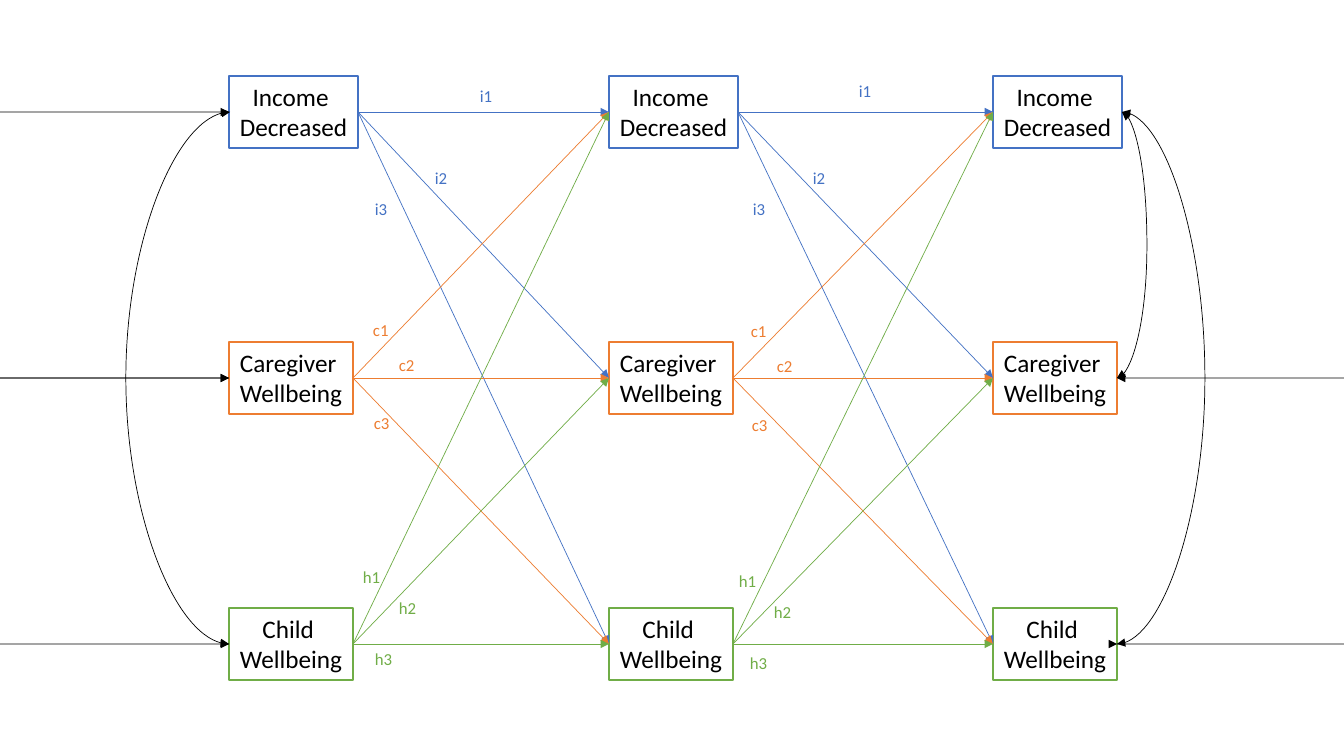
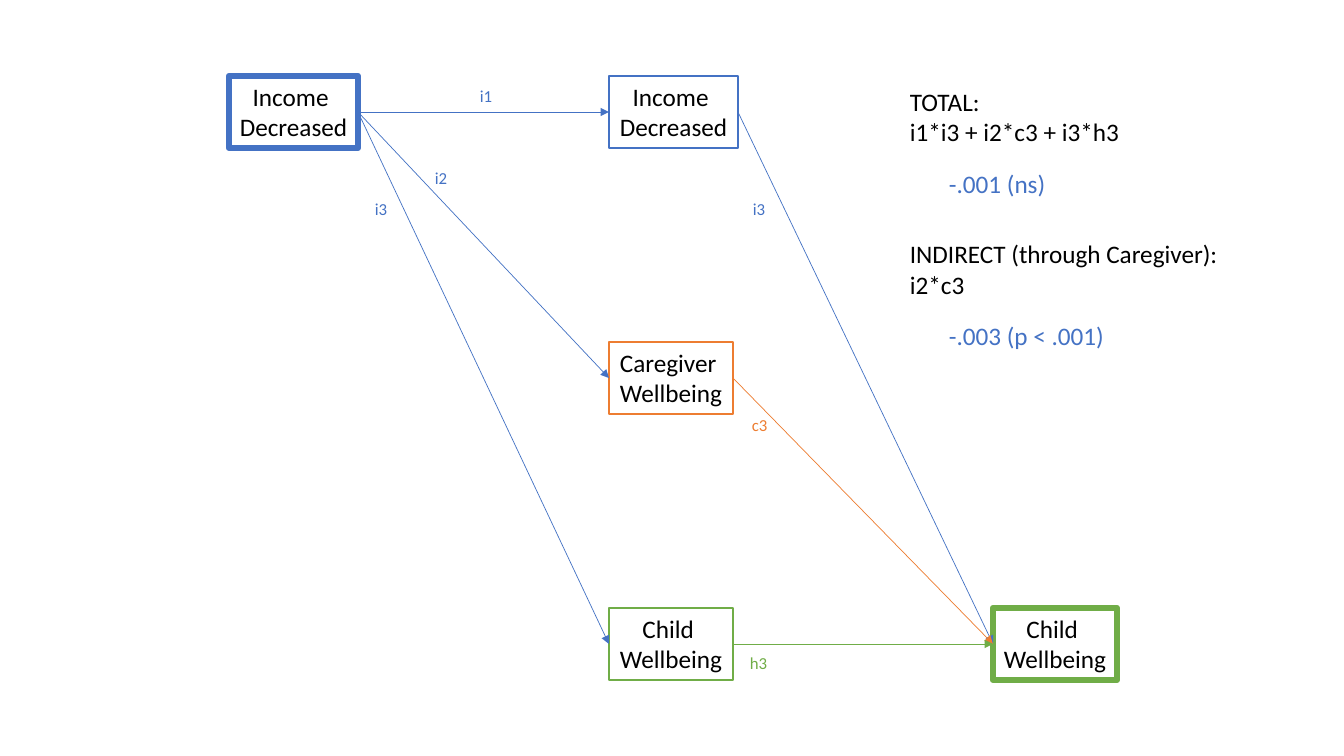
from dataclasses import dataclass

from lxml import etree
from pptx import Presentation
from pptx.dml.color import RGBColor
from pptx.enum.dml import MSO_THEME_COLOR
from pptx.enum.shapes import MSO_CONNECTOR, MSO_SHAPE
from pptx.enum.text import MSO_ANCHOR, MSO_AUTO_SIZE, PP_ALIGN
from pptx.oxml.ns import qn
from pptx.shapes.autoshape import Shape
from pptx.shapes.connector import Connector
from pptx.slide import Slide
from pptx.util import Emu, Pt

RECT = MSO_SHAPE.RECTANGLE
STRAIGHT, CURVE = MSO_CONNECTOR.STRAIGHT, MSO_CONNECTOR.CURVE
LEFT, CENTER = PP_ALIGN.LEFT, PP_ALIGN.CENTER
TOP = MSO_ANCHOR.TOP
GROW = MSO_AUTO_SIZE.SHAPE_TO_FIT_TEXT
PAPER = MSO_THEME_COLOR.BACKGROUND_1

WIDE, HIGH = 1344, 756
SCALE = 12192000 / WIDE
FONT = "Calibri"
BLACK, BLUE, ORANGE, GREEN = "000000", "4472C4", "ED7D31", "70AD47"
THIN, EDGE, THICK = 0.5, 1, 4.5
SITE_LEFT, SITE_RIGHT = 1, 3

COLS = (229, 609, 993)
FIRST, STEP, TALL = 76, 266, 72


@dataclass(frozen=True)
class Factor:
    """One measured factor, drawn as a row of boxes."""
    key: str
    lines: tuple[str, str]
    color: str
    width: int
    tag: int


@dataclass(frozen=True)
class Node:
    """A box at a row and column of the grid."""
    row: int
    col: int
    edge: float = EDGE


@dataclass(frozen=True)
class Path:
    """An arrow from one column to the next, with its tag's place."""
    name: str
    col: int
    left: int
    top: int


@dataclass(frozen=True)
class Arc:
    """A double-headed curve; reach is its bulge from the start."""
    left: int
    width: int
    start: int
    end: int
    reach: int
    turn: int = 0
    flip: str = ""


@dataclass(frozen=True)
class Note:
    """A free line of result text."""
    text: str
    left: int
    top: int
    width: int


FACTORS = (
    Factor("i", ("Income ", "Decreased"), BLUE, 129, 33),
    Factor("c", ("Caregiver ", "Wellbeing"), ORANGE, 124, 36),
    Factor("h", ("Child ", "Wellbeing"), GREEN, 124, 38),
)
ROWS = {factor.key: row for row, factor in enumerate(FACTORS)}

PATHS = (
    Path("i1", 0, 470, 81), Path("i1", 1, 849, 76),
    Path("i2", 0, 425, 163), Path("i3", 0, 365, 194),
    Path("i2", 1, 803, 163), Path("i3", 1, 743, 194),
    Path("c2", 0, 389, 350), Path("c1", 0, 363, 315),
    Path("c3", 0, 364, 408), Path("c1", 1, 741, 316),
    Path("c2", 1, 767, 351), Path("c3", 1, 742, 410),
    Path("h2", 0, 389, 593), Path("h3", 0, 365, 644),
    Path("h1", 0, 353, 562), Path("h3", 1, 740, 648),
    Path("h2", 1, 764, 597), Path("h1", 1, 729, 566),
)
CHOSEN = {("i1", 0), ("i2", 0), ("i3", 0), ("i3", 1), ("c3", 1), ("h3", 1)}

ARCS = (
    Arc(229, 0, 0, 1, 25, 180, "V"),
    Arc(229, 1, 0, 2, 105, 180, "V"),
    Arc(229, 0, 1, 2, -25, 180, "HV"),
    Arc(1117, 5, 0, 1, -25, 0, "H"),
    Arc(1117, 0, 1, 2, 25),
    Arc(1117, 5, 0, 2, -83, 0, "H"),
)

GRID = [Node(row, col) for col in range(3) for row in range(3)]
CHAIN = [Node(0, 0, THICK), *(Node(row, 1) for row in range(3)),
         Node(2, 2, THICK)]
NOTES = (Note("-.001 (ns)", 939, 163, 118),
         Note("-.003 (p < .001)", 939, 315, 177))


def px(length: float) -> Emu:
    """Turn pixels into EMU."""
    return Emu(round(length * SCALE))


def rgb(code: str) -> RGBColor:
    """Turn a hex string into a colour."""
    return RGBColor.from_string(code)


def middle(row: int) -> int:
    """Return the centre height of a row."""
    return FIRST + row * STEP + TALL // 2


def write(shape: Shape, *lines: str, size: float = 18, color: str = BLACK,
          align: PP_ALIGN = LEFT, gaps: dict[int, float] | None = None) -> None:
    """Fill a shape with lines; gaps gives space before a line."""
    frame = shape.text_frame
    frame.word_wrap = False
    frame.auto_size = GROW
    frame.vertical_anchor = TOP
    for index, line in enumerate(lines):
        para = frame.paragraphs[0] if index == 0 else frame.add_paragraph()
        para.alignment = align
        para.space_before = Pt((gaps or {}).get(index, 0))
        run = para.add_run()
        run.text = line
        run.font.name = FONT
        run.font.size = Pt(size)
        run.font.color.rgb = rgb(color)


def label(slide: Slide, left: int, top: int, width: int, height: int) -> Shape:
    """Add an empty text box."""
    return slide.shapes.add_textbox(px(left), px(top), px(width), px(height))


def box(slide: Slide, node: Node) -> Shape:
    """Draw the box of one factor."""
    factor = FACTORS[node.row]
    shape = slide.shapes.add_shape(
        RECT, px(COLS[node.col]), px(FIRST + node.row * STEP),
        px(factor.width), px(TALL))
    shape.shadow.inherit = False
    shape.fill.solid()
    shape.fill.fore_color.theme_color = PAPER
    shape.line.color.rgb = rgb(factor.color)
    shape.line.width = Pt(node.edge)
    write(shape, *factor.lines, align=CENTER)
    return shape


def style(link: Connector, color: str, *ends: str) -> None:
    """Colour a connector and put arrowheads on the named ends."""
    link.line.color.rgb = rgb(color)
    link.line.width = Pt(THIN)
    props = link.element.spPr
    line = props.find(qn("a:ln"))
    for end in ends:
        etree.SubElement(line, qn(f"a:{end}"), type="triangle")
    etree.SubElement(props, qn("a:effectLst"))


def arrow(slide: Slide, path: Path,
          boxes: dict[tuple[int, int], Shape]) -> None:
    """Join two boxes with the arrow of a path."""
    row, goal = ROWS[path.name[0]], int(path.name[1]) - 1
    link = slide.shapes.add_connector(STRAIGHT, 0, 0, 0, 0)
    link.begin_connect(boxes[row, path.col], SITE_RIGHT)
    link.end_connect(boxes[goal, path.col + 1], SITE_LEFT)
    style(link, FACTORS[row].color, "tailEnd")


def curve(slide: Slide, arc: Arc) -> None:
    """Draw a double-headed curve between two rows."""
    width = max(px(arc.width), 1)
    left = px(arc.left)
    link = slide.shapes.add_connector(
        CURVE, left, px(middle(arc.start)), left + width, px(middle(arc.end)))
    props = link.element.spPr
    frame = props.find(qn("a:xfrm"))
    if arc.turn:
        frame.set("rot", str(arc.turn * 60000))
    for axis in arc.flip:
        frame.set(f"flip{axis}", "1")
    shape = props.find(qn("a:prstGeom"))
    guides = shape.find(qn("a:avLst"))
    if guides is None:
        guides = etree.SubElement(shape, qn("a:avLst"))
    bend = px(arc.reach) * 100000 // width
    etree.SubElement(guides, qn("a:gd"), name="adj1", fmla=f"val {bend}")
    style(link, BLACK, "headEnd", "tailEnd")


def model(slide: Slide, nodes: list[Node], paths: list[Path],
          arcs: tuple[Arc, ...] = ()) -> None:
    """Draw boxes, arrows, curves and path tags."""
    boxes = {(node.row, node.col): box(slide, node) for node in nodes}
    for path in paths:
        arrow(slide, path, boxes)
    for arc in arcs:
        curve(slide, arc)
    for path in paths:
        factor = FACTORS[ROWS[path.name[0]]]
        write(label(slide, path.left, path.top, factor.tag, 30), path.name,
              size=12, color=factor.color)


def effects(slide: Slide) -> None:
    """Write the total and indirect effects."""
    write(label(slide, 900, 81, 332, 224),
          "TOTAL:", "i1*i3 + i2*c3 + i3*h3",
          "INDIRECT (through Caregiver):", "i2*c3", gaps={2: 66})
    for note in NOTES:
        write(label(slide, note.left, note.top, note.width, 40), note.text,
              color=BLUE)


def main() -> None:
    """Build and save both slides."""
    deck = Presentation()
    deck.slide_width, deck.slide_height = px(WIDE), px(HIGH)
    blank = deck.slide_layouts[6]
    model(deck.slides.add_slide(blank), GRID, list(PATHS), ARCS)
    last = deck.slides.add_slide(blank)
    model(last, CHAIN, [path for path in PATHS
                        if (path.name, path.col) in CHOSEN])
    effects(last)
    deck.save("out.pptx")


main()
